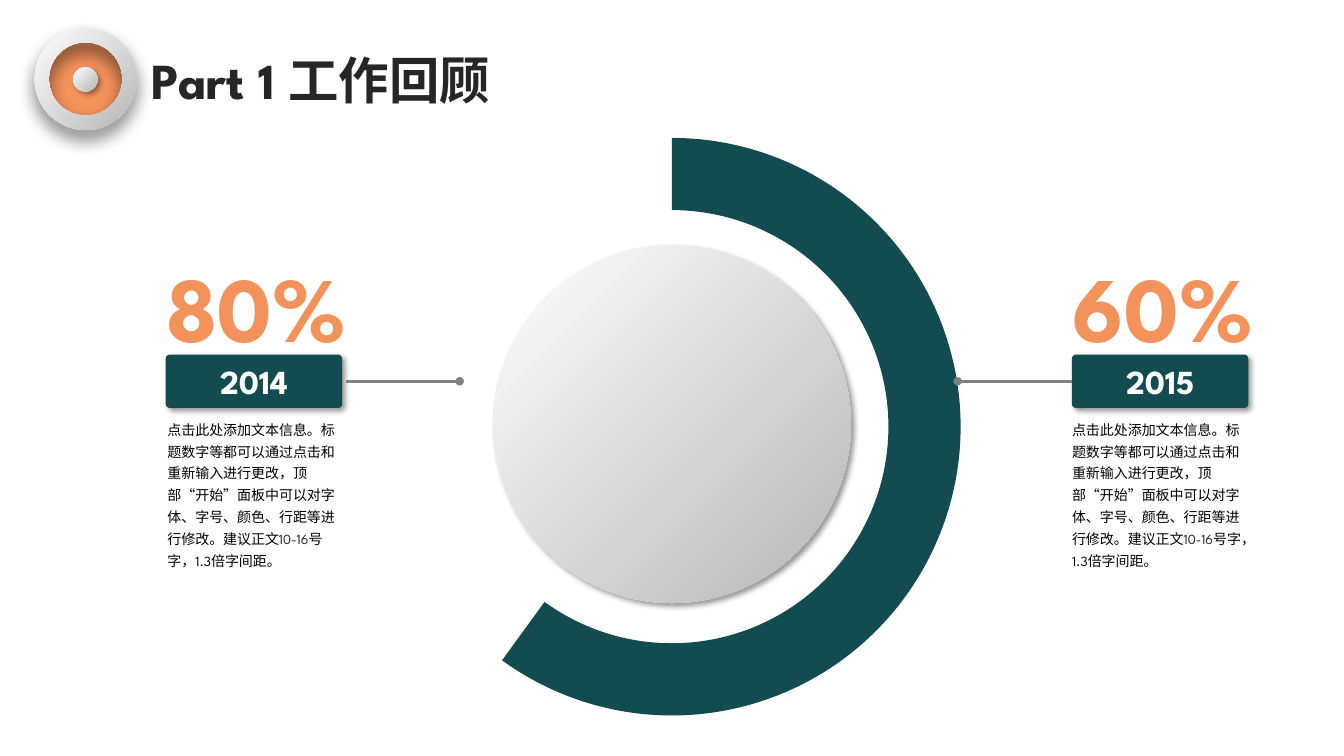
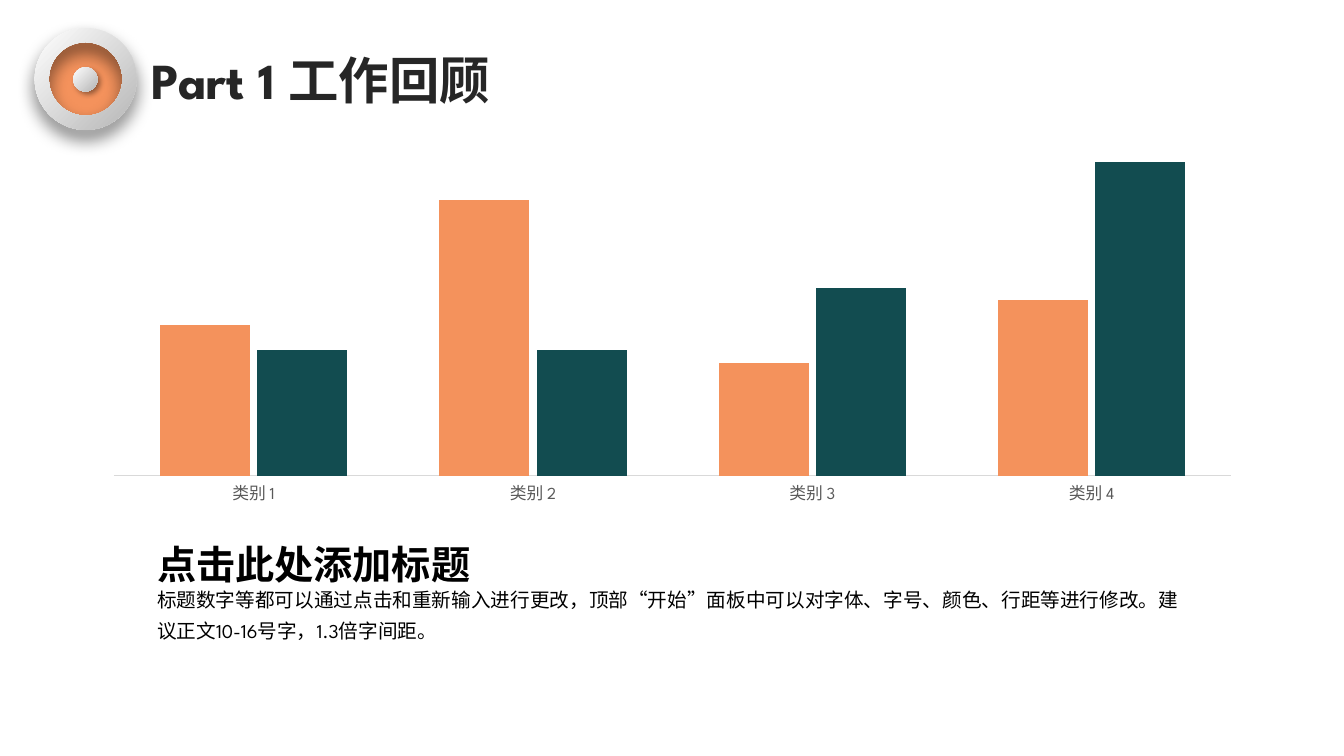
import pptx
import pptx.util
import pptx.chart.data
import pptx.dml.color
import pptx.enum.chart
import pptx.enum.shapes
import pptx.enum.text
import pptx.oxml
import pptx.oxml.ns

Pt = pptx.util.Pt
SHAPE = pptx.enum.shapes.MSO_SHAPE
ALIGN = pptx.enum.text.PP_ALIGN
ANCHOR = pptx.enum.text.MSO_ANCHOR
CHART = pptx.enum.chart.XL_CHART_TYPE
A_NS = pptx.oxml.ns.nsdecls("a")
C_NS = pptx.oxml.ns.nsdecls("c")

FONT = "League Spartan"
ORANGE, TEAL, GREY, INK = "F4925C", "124C50", "808080", "262626"
BLACK, WHITE, SILVER = "000000", "FFFFFF", "BFBFBF"
SOFT = (40, 4, 3, 45)  # shadow: opacity %, blur pt, distance pt, angle
DEEP = (54, 13, 7, 90)

prs = pptx.Presentation()
prs.slide_width, prs.slide_height = pptx.util.Inches(13.333), pptx.util.Inches(7.5)
COL, ROW = prs.slide_width / 100, prs.slide_height / 100


def rgb(color):
    return pptx.dml.color.RGBColor.from_string(color)


def add_shape(s, kind, x, y, w, h, color, shadow=None):
    """Add an unlined shape, placed on a grid of 100 columns by 100 rows."""
    sp = s.shapes.add_shape(kind, int(x * COL), int(y * ROW), int(w * COL), int(h * ROW))
    sp.line.fill.background()
    sp.fill.solid()
    sp.fill.fore_color.rgb = rgb(color)
    sp.shadow.inherit = False
    if shadow:
        alpha, blur, dist, angle = shadow
        sp.element.spPr.find(pptx.oxml.ns.qn("a:effectLst")).append(pptx.oxml.parse_xml(
            f'<a:outerShdw {A_NS} blurRad="{Pt(blur)}" dist="{Pt(dist)}" dir="{angle * 60000}"'
            f' algn="ctr" rotWithShape="0"><a:srgbClr val="{BLACK}">'
            f'<a:alpha val="{alpha * 1000}"/></a:srgbClr></a:outerShdw>'))
    return sp


# Shared layout: title position
layout = prs.slide_layouts[5]
title = layout.placeholders[0]
title.left, title.top = int(10.55 * COL), int(6.8 * ROW)
title.width, title.height = int(38.78 * COL), int(8.67 * ROW)
slides = [prs.slides.add_slide(layout) for _ in range(2)]
s1, s2 = slides

# Discs: the emblem, moved to the layout, and the hub of the ring chart
for kind, cx, cy, size, shadow in (
    (SHAPE.OVAL, 6.32, 10.5, 5.93, None),
    (SHAPE.OVAL, 6.35, 10.5, 1.8, SOFT),
    (SHAPE.DONUT, 6.37, 10.45, 7.58, DEEP),
    (SHAPE.OVAL, 50, 56.1, 26.63, SOFT),
):
    rows = size * COL / ROW
    disc = add_shape(s1, kind, cx - size / 2, cy - rows / 2, size, rows, ORANGE, shadow)
    if kind == SHAPE.DONUT:
        disc.adjustments[0] = 0.139
    if shadow:
        disc.fill.gradient()
        disc.fill.gradient_angle = 315
        for stop, color, position in zip(disc.fill.gradient_stops, (WHITE, SILVER), (0, 0.88)):
            stop.color.rgb, stop.position = rgb(color), position
    if cx < 10:
        layout.shapes.element.append(disc.element)
hub = disc

# Titles
for s in slides:
    tf = s.shapes.title.text_frame
    tf.text = "Part 1 工作回顾"
    tf.vertical_anchor = ANCHOR.TOP
    tf.auto_size = pptx.enum.text.MSO_AUTO_SIZE.NONE
    p = tf.paragraphs[0]
    p.alignment, p.line_spacing, p.space_before = ALIGN.LEFT, 0.9, Pt(10)
    p.font.name, p.font.size, p.font.bold = FONT, Pt(36), True
    p.font.color.rgb = rgb(INK)

# Slide 1: ring chart behind the hub
data = pptx.chart.data.CategoryChartData()
data.categories = ["1", "2"]
for n, values in enumerate(((80, 20), (50, 50), (60, 40)), 1):
    data.add_series(f"Series {n}", values)
gf = s1.shapes.add_chart(CHART.DOUGHNUT, int(28.5 * COL), int(13.13 * ROW),
                         int(42.98 * COL), int(83.07 * ROW), data)
hub.element.addprevious(gf.element)
chart = gf.chart
chart.has_title = chart.has_legend = False
chart.font.name, chart.font.size = FONT, Pt(10)
for ser, color in zip(chart.plots[0].series, (ORANGE, None, TEAL)):
    for i in range(2):
        fmt = ser.points[i].format
        fmt.line.fill.background()
        if color and i == 0:
            fmt.fill.solid()
            fmt.fill.fore_color.rgb = rgb(color)
        else:
            fmt.fill.background()
for hole in chart.element.xpath(".//c:holeSize"):
    hole.set("val", "62")
area = chart.element.xpath(".//c:plotArea")[0]
for old in area.xpath("./c:layout"):
    area.remove(old)
area.insert(0, pptx.oxml.parse_xml(
    f'<c:layout {C_NS}><c:manualLayout><c:layoutTarget val="inner"/>'
    '<c:xMode val="edge"/><c:yMode val="edge"/><c:x val="0"/><c:y val="0.062"/>'
    '<c:w val="1"/><c:h val="0.957"/></c:manualLayout></c:layout>'))

# Slide 1: year badges with their pointer lines
note = ("点击此处添加文本信息。标题数字等都可以通过点击和重新输入进行更改，顶部“开始”面板中"
        "可以对字体、字号、颜色、行距等进行修改。建议正文", "10-16", "号字，1.3倍字间距。")
texts = []  # slide, left, top, width, height, runs, size, bold, colour, line spacing, wrap
for year, share, x, note_x, note_width, start, end in (
    ("2015", "60%", 79.75, 79.03, 14.7, 79.75, 71.25),
    ("2014", "80%", 12.33, 11.72, 14.03, 25.73, 34.2),
):
    badge = add_shape(s1, SHAPE.ROUNDED_RECTANGLE, x, 46.9, 13.13, 7.07, TEAL, SOFT)
    badge.adjustments[0] = 0.078
    tf = badge.text_frame
    tf.text = year
    tf.vertical_anchor = ANCHOR.MIDDLE
    p = tf.paragraphs[0]
    p.alignment = ALIGN.CENTER
    p.font.name, p.font.size, p.font.bold = FONT, Pt(24), True
    p.font.color.rgb = rgb(WHITE)

    y = badge.top + badge.height // 2
    pointer = s1.shapes.add_connector(pptx.enum.shapes.MSO_CONNECTOR.STRAIGHT,
                                      int(start * COL), y, int(end * COL), y)
    if start == x:
        pointer.begin_connect(badge, 1)
    pointer.line.width = Pt(2)
    pointer.line.color.rgb = rgb(GREY)
    pointer.element.spPr.find(pptx.oxml.ns.qn("a:ln")).append(
        pptx.oxml.parse_xml(f'<a:tailEnd {A_NS} type="oval"/>'))
    pointer.element.spPr.append(pptx.oxml.parse_xml(f"<a:effectLst {A_NS}/>"))

    texts.append((s1, x - 0.7, 32.4, 15.3, 16.13, (share,), 66, True, ORANGE, 1, False))
    texts.append((s1, note_x, 54.4, note_width, 21.73, note, 10, False, BLACK, 1.3, True))

# Slide 2: white panels, heading and paragraph under the chart
for x, width in ((8.18, 78.98), (2.18, 95.4)):
    add_shape(s2, SHAPE.RECTANGLE, x, 67.87, width, 21.33, WHITE)
texts.append((s2, 10.95, 76.2, 78.23, 9.07,
              ("标题数字等都可以通过点击和重新输入进行更改，顶部“开始”面板中可以对字体、字号、颜色、"
               "行距等进行修改。建议正文10-16号字，1.3倍字间距。",), 14, False, BLACK, 1.3, True))
texts.append((s2, 10.95, 68.93, 61.43, 8.67, ("点击此处添加标题",), 28, True, BLACK, 1.3, True))

# All text boxes
for s, x, y, w, h, runs, size, bold, color, spacing, wrap in texts:
    tf = s.shapes.add_textbox(int(x * COL), int(y * ROW), int(w * COL), int(h * ROW)).text_frame
    tf.word_wrap = wrap
    p = tf.paragraphs[0]
    p.line_spacing = spacing
    p.font.name, p.font.size, p.font.bold = FONT, Pt(size), bold
    p.font.color.rgb = rgb(color)
    for text in runs:
        r = p.add_run()
        r.text = text
        if text == "10-16":
            r.font.color.rgb = rgb(INK)

# Slide 2: column chart
data = pptx.chart.data.CategoryChartData()
data.categories = [f"类别 {n}" for n in range(1, 5)]
data.add_series("Series 1", (48, 88, 36, 56))
data.add_series("Series 2", (40, 40, 60, 100))
chart = s2.shapes.add_chart(CHART.COLUMN_CLUSTERED, int(6.75 * COL), int(12.07 * ROW),
                            int(86.6 * COL), int(55.87 * ROW), data).chart
chart.has_title = chart.has_legend = False
chart.font.name, chart.font.size = FONT, Pt(10)
plot = chart.plots[0]
plot.gap_width, plot.overlap, plot.vary_by_categories = 102, -8, False
for ser, color in zip(plot.series, (ORANGE, TEAL)):
    ser.format.fill.solid()
    ser.format.fill.fore_color.rgb = rgb(color)
chart.value_axis.visible = chart.value_axis.has_major_gridlines = False
chart.value_axis.minimum_scale, chart.value_axis.maximum_scale = 0, 120
axis = chart.category_axis
axis.major_tick_mark = pptx.enum.chart.XL_TICK_MARK.NONE
axis.format.line.width = Pt(0.75)
axis.format.line.color.rgb = rgb("D9D9D9")
font = axis.tick_labels.font
font.name, font.size = FONT, Pt(12)
font.color.rgb = rgb("595959")

prs.save("out.pptx")
